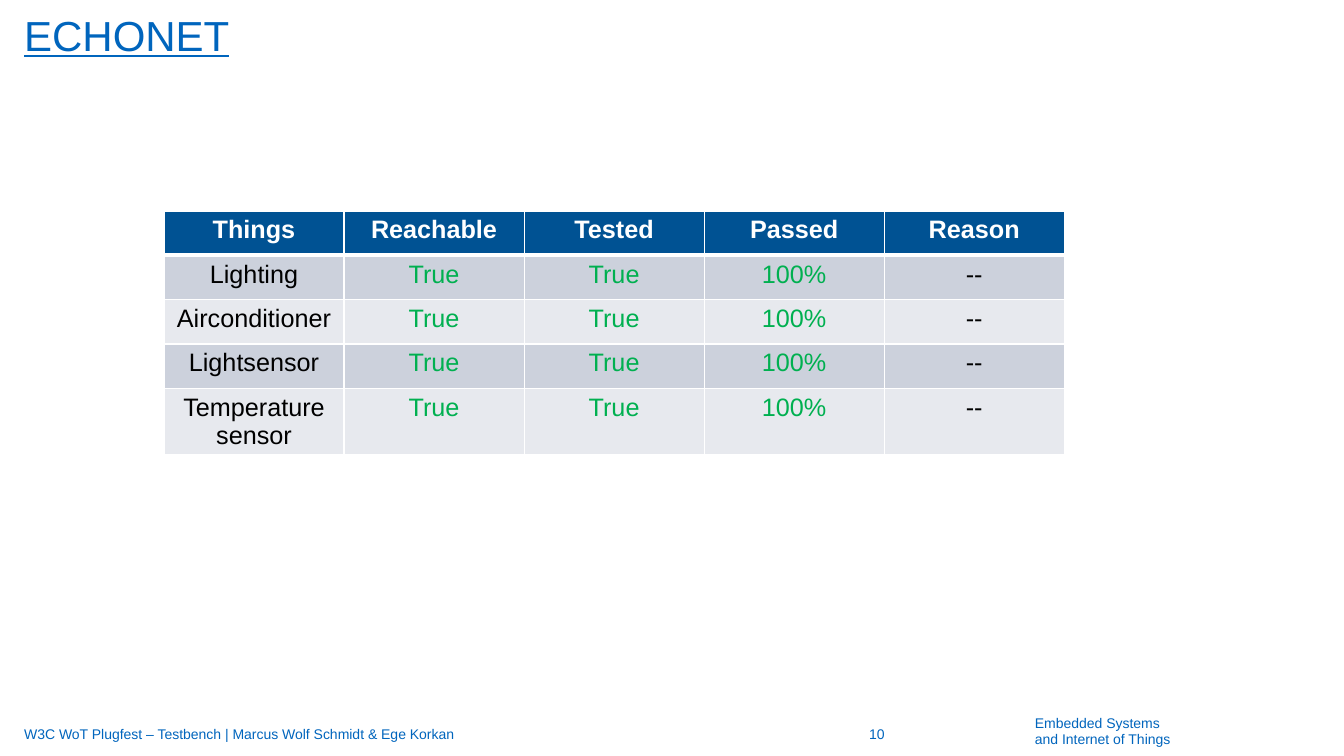
from dataclasses import dataclass

from lxml import etree
from pptx import Presentation
from pptx import util as u
from pptx.dml.color import RGBColor
from pptx.enum import text
from pptx.oxml.ns import qn

WIDTH, HEIGHT = u.Inches(13.33), u.Inches(7.5)
MARGIN = 0.018  # left edge of title and footer, as a share of the width


@dataclass(frozen=True)
class Theme:
    font: str = "Arial"
    blue: str = "0065BD"
    header: str = "005293"
    bands: tuple = ("CCD1DC", "E7E9EE")
    white: str = "FFFFFF"
    black: str = "000000"
    success: str = "00B050"
    title_size: int = 30
    table_size: int = 18
    footer_size: int = 10


THEME = Theme()
HEADINGS = ["Things", "Reachable", "Tested", "Passed", "Reason"]
THINGS = ["Lighting", "Airconditioner", "Lightsensor", "Temperature sensor"]
RESULT = ["True", "True", "100%", "--"]


def box(left, top, width, height):
    """Turn shares of the slide's size into lengths."""
    return (round(left * WIDTH), round(top * HEIGHT),
            round(width * WIDTH), round(height * HEIGHT))


def write(frame, *lines, size, color=THEME.blue, bold=False, underline=False,
          align=text.PP_ALIGN.LEFT, anchor=text.MSO_ANCHOR.TOP, spacing=None):
    frame.word_wrap = True
    frame.vertical_anchor = anchor
    for index, line in enumerate(lines):
        paragraph = frame.add_paragraph() if index else frame.paragraphs[0]
        paragraph.alignment = align
        paragraph.line_spacing = spacing
        run = paragraph.add_run()
        run.text = line
        font = run.font
        font.name, font.size = THEME.font, u.Pt(size)
        font.bold, font.underline = bold, underline
        font.color.rgb = RGBColor.from_string(color)


def clear_insets(frame):
    frame.margin_left = frame.margin_right = 0
    frame.margin_top = frame.margin_bottom = 0


def add_title(slide, title):
    shape = slide.shapes.title
    shape.left, shape.top, shape.width, shape.height = box(MARGIN, 0.02, 0.931, 0.06)
    frame = shape.text_frame
    clear_insets(frame)
    frame.auto_size = text.MSO_AUTO_SIZE.NONE
    write(frame, title, size=THEME.title_size, underline=True, spacing=u.Pt(32))


def add_footer(slide, area, *lines, **style):
    frame = slide.shapes.add_textbox(*box(*area)).text_frame
    clear_insets(frame)
    write(frame, *lines, size=THEME.footer_size, **style)


def add_borders(cell, bottom):
    properties = cell._tc.get_or_add_tcPr()
    for side, points in (("L", 1), ("R", 1), ("T", 1), ("B", bottom)):
        line = etree.SubElement(properties, qn(f"a:ln{side}"), w=str(u.Pt(points)))
        fill = etree.SubElement(line, qn("a:solidFill"))
        etree.SubElement(fill, qn("a:srgbClr"), val=THEME.white)


def fill_cell(cell, content, fill, color, bold=False, bottom=1):
    add_borders(cell, bottom)
    cell.fill.solid()
    cell.fill.fore_color.rgb = RGBColor.from_string(fill)
    write(cell.text_frame, content, size=THEME.table_size, color=color,
          bold=bold, align=text.PP_ALIGN.CENTER)


def add_results(slide):
    rows = [[thing, *RESULT] for thing in THINGS]
    row_height = u.Inches(0.44)
    left, top, width, _ = box(0.122, 0.279, 0.67, 0)
    table = slide.shapes.add_table(len(rows) + 1, len(HEADINGS), left, top, width,
                                   row_height * (len(rows) + 1)).table
    for column, heading in enumerate(HEADINGS):
        fill_cell(table.cell(0, column), heading, THEME.header, THEME.white,
                  bold=True, bottom=3)
    for index, row in enumerate(rows):
        for column, content in enumerate(row):
            color = THEME.success if content in ("True", "100%") else THEME.black
            fill_cell(table.cell(index + 1, column), content,
                      THEME.bands[index % 2], color)


def main():
    presentation = Presentation()
    presentation.slide_width, presentation.slide_height = WIDTH, HEIGHT
    slide = presentation.slides.add_slide(presentation.slide_layouts[5])
    add_title(slide, "ECHONET")
    add_results(slide)
    middle = text.MSO_ANCHOR.MIDDLE
    add_footer(slide, (MARGIN, 0.944, 0.572, 0.053),
               "W3C WoT Plugfest – Testbench | Marcus Wolf Schmidt & Ege Korkan",
               anchor=middle)
    add_footer(slide, (0.606, 0.944, 0.093, 0.053), "10",
               anchor=middle, align=text.PP_ALIGN.CENTER)
    add_footer(slide, (0.77, 0.947, 0.162, 0.043),
               "Embedded Systems", "and Internet of Things", spacing=0.94)
    presentation.save("out.pptx")


if __name__ == "__main__":
    main()
